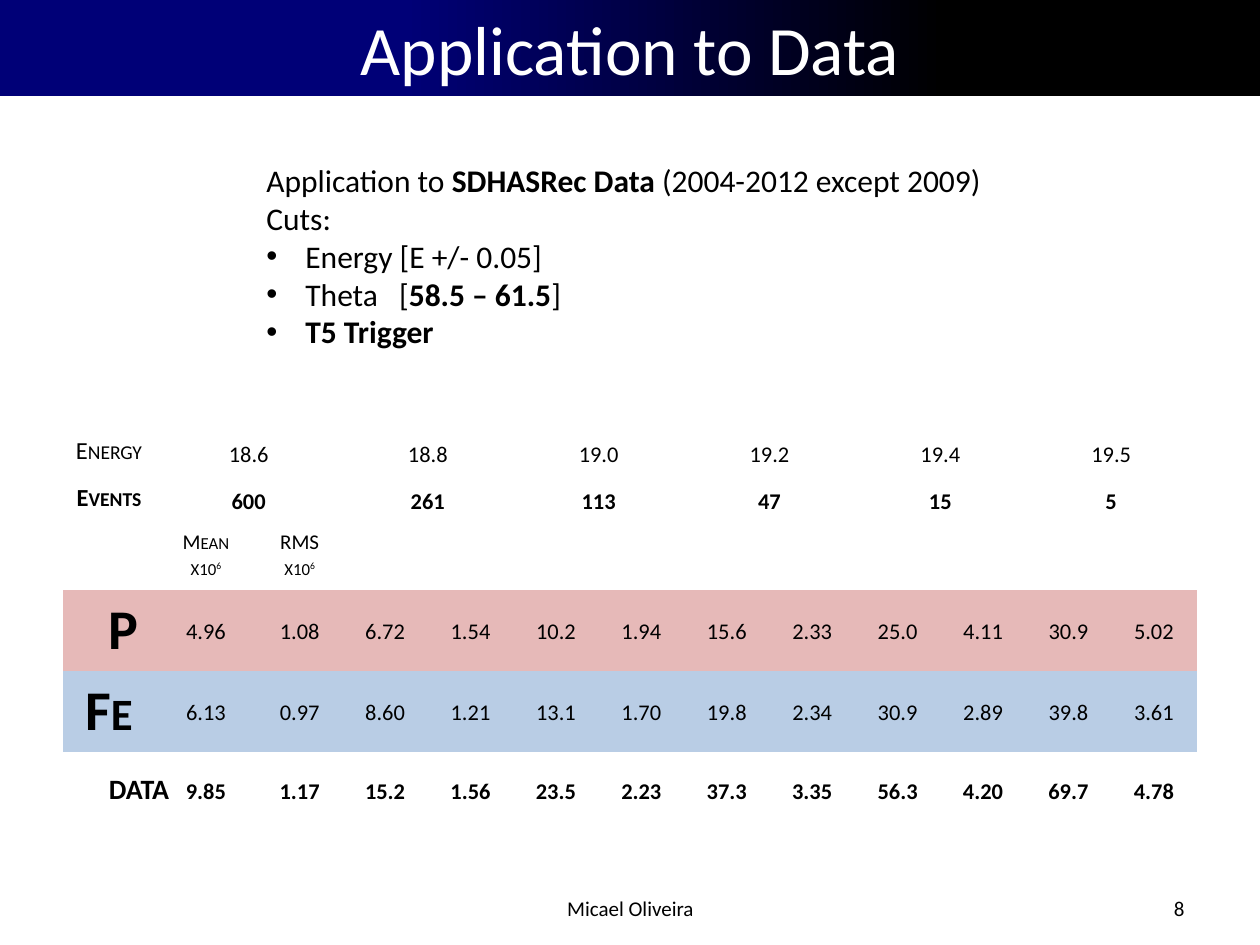
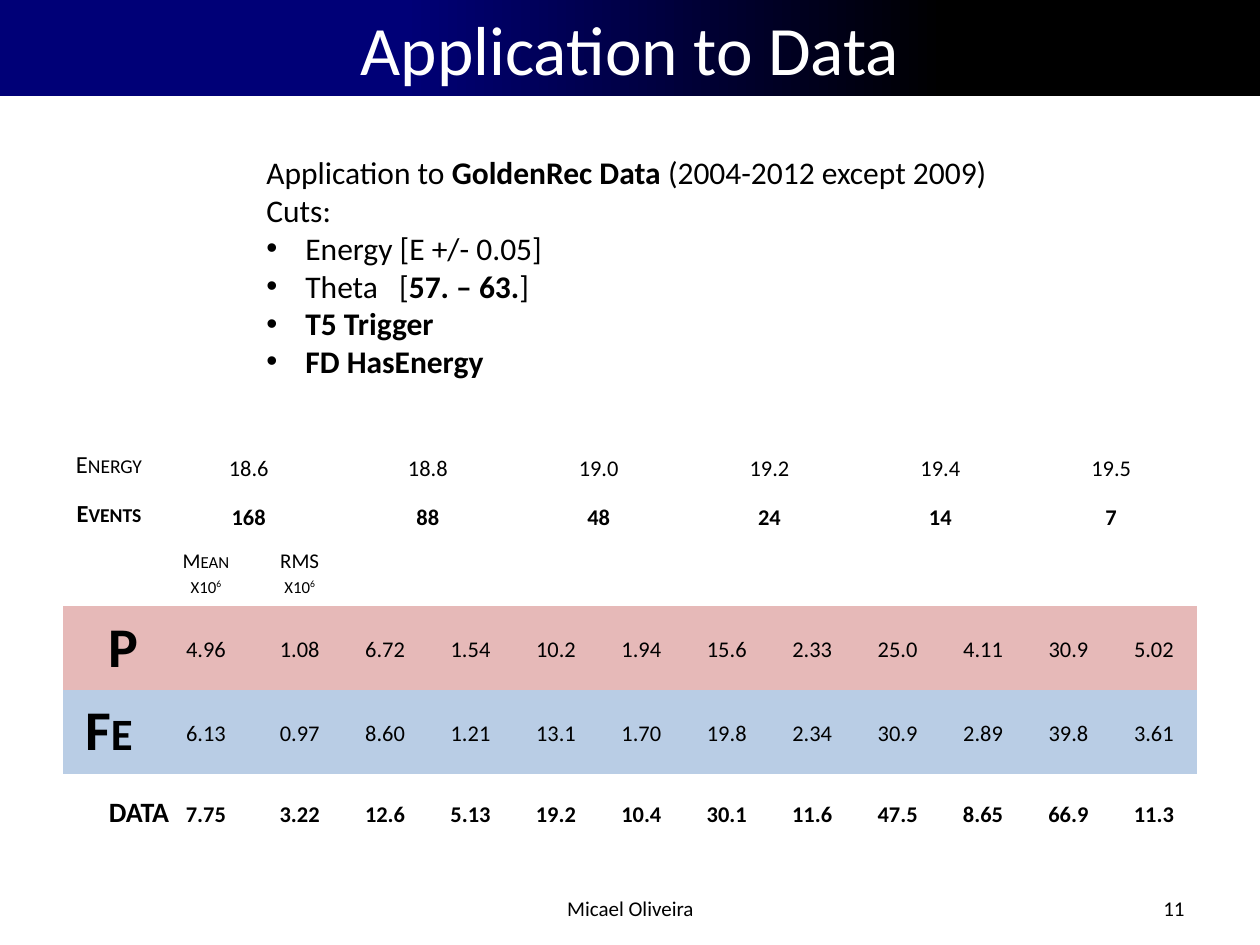
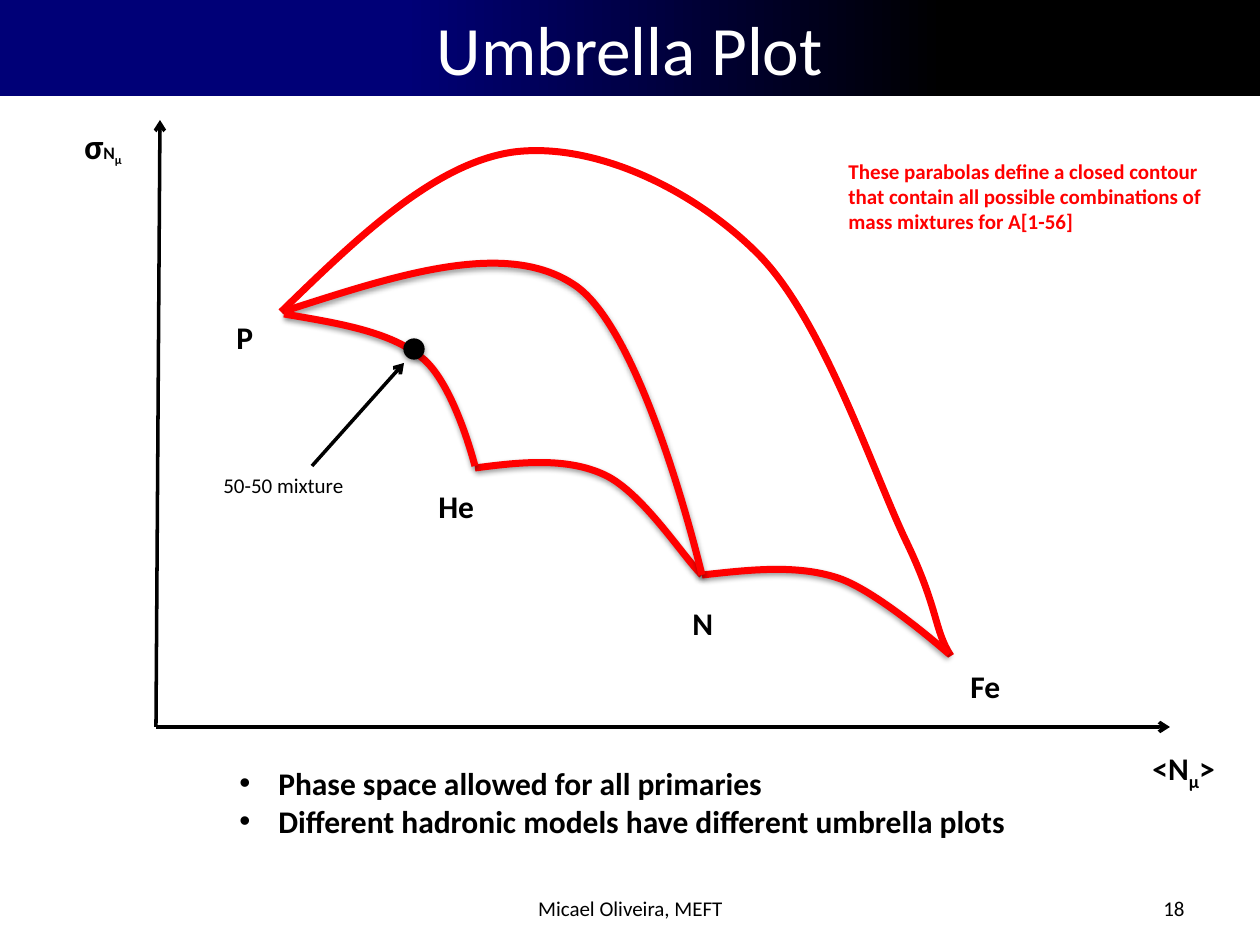
from pptx import Presentation
from pptx.dml.color import RGBColor as RGB
from pptx.enum.shapes import MSO_CONNECTOR as LINE, MSO_SHAPE as SHAPE
from pptx.enum.text import MSO_ANCHOR as ANCHOR, MSO_AUTO_SIZE as FIT, PP_ALIGN as ALIGN
from pptx.oxml.ns import qn
from pptx.util import Emu, Pt
from lxml.etree import SubElement as Sub

# Shared look
FONT = "Calibri"
NAVY = RGB(0x00, 0x00, 0x77)
BLACK = RGB(0, 0, 0)
WHITE = RGB(255, 255, 255)
RED = RGB(255, 0, 0)
PINK = RGB(0xE6, 0xB9, 0xB8)
SKY = RGB(0xB9, 0xCD, 0xE5)
WIDE, HIGH = 1260, 945
PLAIN = "{2D5ABB26-0587-4C30-8999-92F81FD0307C}"
BOLD = {"bold": True}
SUB, SUP = {"baseline": "-25000"}, {"baseline": "30000"}

# Table data
ENERGY = "18.6 18.8 19.0 19.2 19.4 19.5"
PROTON = "4.96 1.08 6.72 1.54 10.2 1.94 15.6 2.33 25.0 4.11 30.9 5.02"
IRON = "6.13 0.97 8.60 1.21 13.1 1.70 19.8 2.34 30.9 2.89 39.8 3.61"


def px(n):
    return Emu(round(n * 914400 / 126))


# Text
def write(par, runs, size, color=BLACK, bold=False, align=None):
    """Fill a paragraph; a run is a string or (string, changes)."""
    par.alignment = align
    for item in [runs] if isinstance(runs, str) else runs:
        text, mods = (item, {}) if isinstance(item, str) else item
        mods = dict(mods)
        run = par.add_run()
        run.text = text
        font = run.font
        font.name = FONT
        font.size = Pt(mods.pop("size", size))
        font.bold = mods.pop("bold", bold)
        font.color.rgb = color
        for key, val in mods.items():
            run._r.get_or_add_rPr().set(key, val)


def bullet(par):
    prop = par._p.get_or_add_pPr()
    prop.set("marL", str(px(39)))
    prop.set("indent", str(-px(39)))
    Sub(prop, qn("a:buFont")).set("typeface", "Arial")
    Sub(prop, qn("a:buChar")).set("char", "•")


def label(slide, box, runs, size=18, wrap=False, anchor=ANCHOR.TOP, **look):
    frame = slide.shapes.add_textbox(*map(px, box)).text_frame
    frame.word_wrap = wrap
    frame.auto_size = FIT.NONE if wrap else FIT.SHAPE_TO_FIT_TEXT
    frame.vertical_anchor = anchor
    write(frame.paragraphs[0], runs, size, **look)
    return frame


def points(slide, box, intro, items, bold=False):
    """Plain intro lines followed by bulleted items."""
    lines = intro + items
    frame = label(slide, box, lines[0], wrap=True, bold=bold)
    for runs in lines[1:]:
        write(frame.add_paragraph(), runs, 18, bold=bold)
    for par in frame.paragraphs[len(intro):]:
        bullet(par)


# Band and footer on every slide
def start(deck, title, author, number):
    slide = deck.slides.add_slide(deck.slide_layouts[6])
    band = slide.shapes.add_shape(SHAPE.RECTANGLE, 0, 0, px(WIDE), px(96))
    band.shadow.inherit = False
    band.line.fill.background()
    band.fill.gradient()
    band.fill.gradient_angle = 0
    for stop, color, pos in zip(band.fill.gradient_stops, (NAVY, BLACK), (0.32, 0.75)):
        stop.color.rgb = color
        stop.position = pos
    frame = band.text_frame
    frame.vertical_anchor = ANCHOR.TOP
    frame.margin_top, frame.margin_bottom = px(6), 0
    write(frame.paragraphs[0], title, 39.6, WHITE, align=ALIGN.CENTER)
    for box, text, align in (((431, 883, 399, 50), author, ALIGN.CENTER),
                             ((903, 883, 294, 50), number, ALIGN.RIGHT)):
        label(slide, box, text, 12, True, ANCHOR.MIDDLE, align=align)
    return slide


# Results table
def fill_cell(cell, runs, size, bold=False, anchor=ANCHOR.TOP):
    cell.vertical_anchor = anchor
    par = cell.text_frame.paragraphs[0]
    write(par, runs, size, bold=bold, align=ALIGN.CENTER)
    for run in par.runs:
        run._r.get_or_add_rPr().set("cap", "small")


def results(slide, top, high, rows, events, data):
    frame = slide.shapes.add_table(6, 13, px(63), px(top), px(1134), px(high))
    table = frame.table
    table.first_row = table.horz_banding = False
    table._tbl.tblPr.find(qn("a:tableStyleId")).text = PLAIN
    wides = [92, 102] + [(1134 - 92 - 102) / 11] * 11
    for col, wide in zip(table.columns, wides):
        col.width = px(wide)
    for row, size in zip(table.rows, rows):
        row.height = px(size)
    frame.height = px(high)
    for cell in table.iter_cells():
        cell.fill.background()

    # Energy and event counts, each over a mean and RMS pair
    for r, (name, vals, bold) in enumerate((("Energy", ENERGY, False), ("Events", events, True))):
        fill_cell(table.cell(r, 0), name, 14, bold)
        for n, val in enumerate(vals.split()):
            cell = table.cell(r, 2 * n + 1)
            cell.merge(table.cell(r, 2 * n + 2))
            fill_cell(cell, val, 16, bold)
    for c, name in enumerate(("Mean", "RMS"), 1):
        fill_cell(table.cell(2, c), [name + " x10", ("6", SUP)], 12)

    # Measured values
    body = (("P", 32, PROTON, False, PINK), ("Fe", 32, IRON, False, SKY),
            ("DATA", 16, data, True, None))
    for r, (name, size, vals, bold, color) in enumerate(body, 3):
        fill_cell(table.cell(r, 0), name, size, True, ANCHOR.MIDDLE)
        for c, val in enumerate(vals.split(), 1):
            fill_cell(table.cell(r, c), val, 16, bold, ANCHOR.MIDDLE)
        if color is not None:
            for cell in table.rows[r].cells:
                cell.fill.solid()
                cell.fill.fore_color.rgb = color


def data_slide(deck, number, source, theta, extra, box, *table):
    slide = start(deck, "Application to Data", "Micael Oliveira", number)
    intro = [["Application to ", (source, BOLD), " (2004-2012 except 2009)"], "Cuts:"]
    cuts = ["Energy [E +/- 0.05]",
            ["Theta", (" ", {"spc": "800"}), "[", (theta, BOLD), "]"]]
    points(slide, box, intro, cuts + [[(text, BOLD)] for text in extra])
    results(slide, *table)


# Drawing
def shade(shape, alpha):
    shape.shadow.inherit = False
    glow = Sub(shape._element.spPr.find(qn("a:effectLst")), qn("a:outerShdw"))
    for key, val in (("blurRad", Pt(3.1)), ("dist", Pt(1.7)), ("dir", 5400000), ("rotWithShape", 0)):
        glow.set(key, str(val))
    tint = Sub(glow, qn("a:srgbClr"))
    tint.set("val", str(BLACK))
    Sub(tint, qn("a:alpha")).set("val", str(alpha * 1000))


def curve(slide, *knots, shadow=True):
    """Cubic curve: a start, then two controls and an end for each part."""
    spots = [(px(x), px(y)) for x, y in knots]
    pen = slide.shapes.build_freeform(*spots[0])
    pen.add_line_segments(spots[3::3], close=False)
    shape = pen.convert_to_shape()
    for n, part in enumerate(list(shape._element.iter(qn("a:lnTo")))):
        part.tag = qn("a:cubicBezTo")
        part.remove(part[0])
        for x, y in spots[3 * n + 1:3 * n + 4]:
            spot = Sub(part, qn("a:pt"))
            spot.set("x", str(x - shape.left))
            spot.set("y", str(y - shape.top))
    shape.fill.background()
    shape.line.color.rgb = RED
    shape.line.width = Pt(4)
    shape.shadow.inherit = False
    if shadow:
        shade(shape, 38)


def arrow(slide, *ends):
    line = slide.shapes.add_connector(LINE.STRAIGHT, *map(px, ends))
    line.line.color.rgb = BLACK
    line.line.width = Pt(2)
    Sub(line._element.spPr.find(qn("a:ln")), qn("a:tailEnd")).set("type", "arrow")
    Sub(line._element.spPr, qn("a:effectLst"))


def dot(slide, x, y, size):
    shape = slide.shapes.add_shape(SHAPE.OVAL, px(x), px(y), px(size), px(size))
    shape.fill.solid()
    shape.fill.fore_color.rgb = BLACK
    shape.line.color.rgb = BLACK
    shape.line.width = Pt(0.75)
    shade(shape, 35)


def plot_slide(deck):
    slide = start(deck, "Umbrella Plot", "Micael Oliveira, MEFT", "18")
    points(slide, (227, 758, 806, 89), [],
           ["Phase space allowed for all primaries",
            "Different hadronic models have different umbrella plots"], bold=True)

    # Contours: P to Fe, He to N, N to Fe, P to N
    curve(slide, (281, 312), (358, 237), (435, 163), (514, 152), (593, 142), (692, 188),
          (757, 253), (823, 318), (874, 475), (907, 543), (939, 610), (934, 630),
          (951, 656), shadow=False)
    curve(slide, (475, 468), (520, 462), (567, 457), (605, 475), (643, 493), (684, 558), (702, 575))
    curve(slide, (702, 575), (748, 570), (796, 564), (838, 578), (878, 591), (949, 654), (949, 654))
    curve(slide, (285, 311), (394, 276), (504, 239), (573, 284), (644, 328), (702, 575), (702, 575))

    # Primaries and axes
    for name, x, y, wide in (("P", 224, 312, 43), ("He", 426, 481, 62),
                             ("N", 680, 598, 45), ("Fe", 958, 661, 57)):
        label(slide, (x, y, wide, 50), name, bold=True)
    arrow(slide, 156, 727, 160, 120)
    arrow(slide, 156, 727, 1170, 727)
    label(slide, (1140, 743, 90, 50), ["<N", ("μ", SUB), ">"], bold=True)
    label(slide, (72, 118, 79, 55), ["σ", ("N", {"size": 10}), ("μ", {"size": 12, **SUB})],
          20, True, bold=True)
    label(slide, (836, 151, 395, 89),
          "These parabolas define a closed contour that contain all possible "
          "combinations of mass mixtures for A[1-56]",
          12, True, ANCHOR.BOTTOM, color=RED, bold=True)

    # Mixture of P and He
    curve(slide, (284, 314), (336, 323), (389, 331), (421, 357), (454, 382), (475, 466), (475, 466))
    dot(slide, 404, 339, 20)
    arrow(slide, 312, 466, 404, 363)
    label(slide, (211, 466, 148, 38), "50-50 mixture", 12)


def main():
    deck = Presentation()
    deck.slide_width, deck.slide_height = px(WIDE), px(HIGH)
    data_slide(deck, "8", "SDHASRec Data", "58.5 – 61.5", ["T5 Trigger"],
               (254, 155, 752, 204), 430, 393, (40, 40, 66, 76, 76, 76),
               "600 261 113 47 15 5",
               "9.85 1.17 15.2 1.56 23.5 2.23 37.3 3.35 56.3 4.20 69.7 4.78")
    data_slide(deck, "11", "GoldenRec Data", "57. – 63.", ["T5 Trigger", "FD HasEnergy"],
               (254, 147, 752, 242), 444, 411, (49, 49, 64, 84, 84, 79),
               "168 88 48 24 14 7",
               "7.75 3.22 12.6 5.13 19.2 10.4 30.1 11.6 47.5 8.65 66.9 11.3")
    plot_slide(deck)
    deck.save("out.pptx")


if __name__ == "__main__":
    main()
